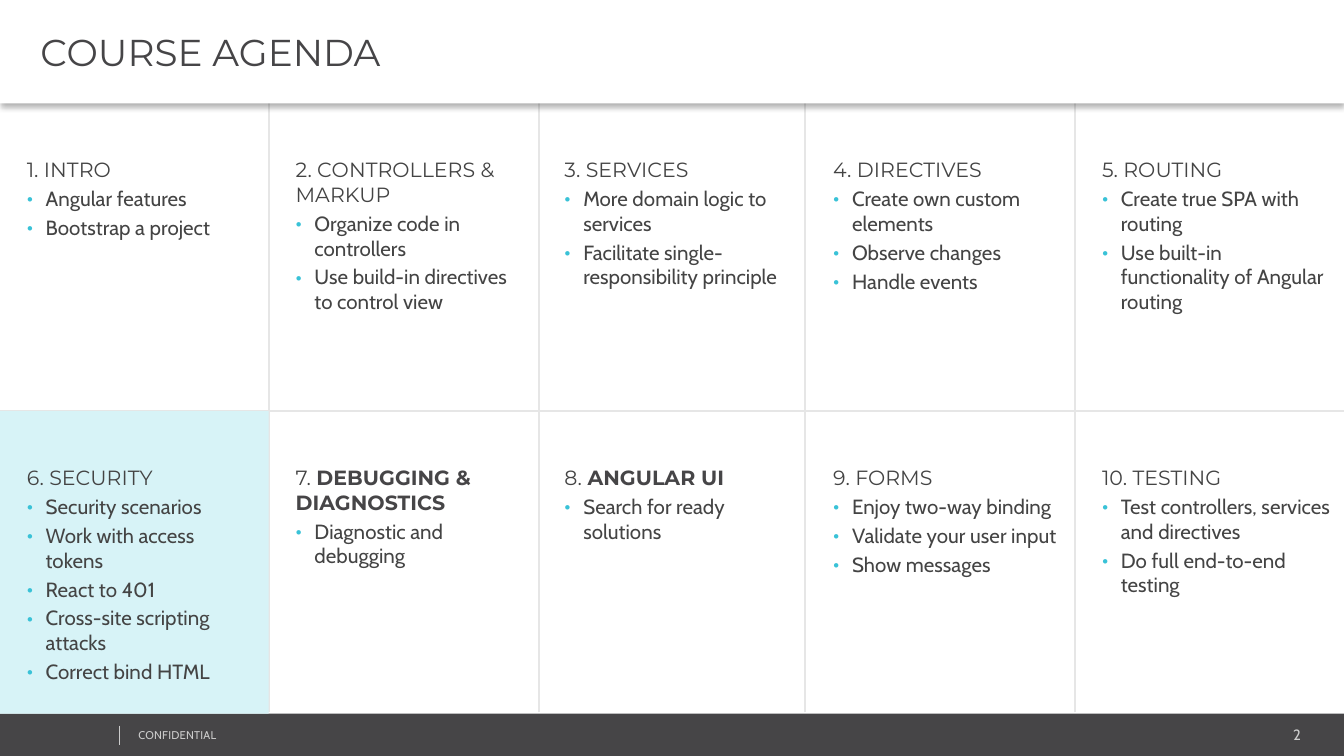
from dataclasses import dataclass

from lxml.etree import SubElement
from pptx import Presentation
from pptx.dml.color import RGBColor
from pptx.enum.shapes import MSO_CONNECTOR, MSO_SHAPE
from pptx.enum.text import MSO_ANCHOR, MSO_AUTO_SIZE, PP_ALIGN
from pptx.oxml.ns import qn
from pptx.util import Inches, Pt

COLORS = {
    "white": "FFFFFF", "footer": "464547", "muted": "CCCCCC", "rule": "E6E6E6",
    "highlight": "D7F3F7", "text": "444444", "strong": "464547",
    "bullet": "39C2D7", "shadow": "000000",
}
WIDTH = 10
HEIGHT = WIDTH * 9 / 16
HEADER_HEIGHT = 0.77
COLUMNS = 5
COLUMN_WIDTH = WIDTH / COLUMNS
COLUMN_RULES = (2, 4.01, 5.99, 8)
ROW_EDGES = (0.77, 3.06, 5.31)
CELL_INSETS = (0.2, 0.4, 0.1, 0.05)
SMALL_INSETS = (0.07, 0.04, 0.07, 0.04)
TITLE_INSETS = (0.3, 0.04, 0.07, 0.04)


@dataclass
class Topic:
    name: str
    points: tuple[str, ...]
    bold: bool = False
    current: bool = False


TOPICS = (
    Topic("INTRO", ("Angular features", "Bootstrap a project")),
    Topic("CONTROLLERS & MARKUP", ("Organize code in controllers",
                                   "Use build-in directives to control view")),
    Topic("SERVICES", ("More domain logic to services",
                       "Facilitate single-responsibility principle")),
    Topic("DIRECTIVES", ("Create own custom elements", "Observe changes", "Handle events")),
    Topic("ROUTING", ("Create true SPA with routing",
                      "Use built-in functionality of Angular routing")),
    Topic("SECURITY", ("Security scenarios", "Work with access tokens", "React to 401",
                       "Cross-site scripting attacks", "Correct bind HTML"), current=True),
    Topic("DEBUGGING & DIAGNOSTICS", ("Diagnostic and debugging",), bold=True),
    Topic("ANGULAR UI", ("Search for ready solutions",), bold=True),
    Topic("FORMS", ("Enjoy two-way binding", "Validate your user input", "Show messages")),
    Topic("TESTING", ("Test controllers, services and directives",
                      "Do full end-to-end testing")),
)


def color(name: str) -> RGBColor:
    return RGBColor.from_string(COLORS[name])


def place(left: float, top: float, width: float, height: float) -> tuple:
    return tuple(Inches(value) for value in (left, top, width, height))


def set_frame(frame, insets: tuple, anchor=MSO_ANCHOR.TOP) -> None:
    left, top, right, bottom = (Inches(value) for value in insets)
    formats = {"word_wrap": True, "auto_size": MSO_AUTO_SIZE.NONE,
               "vertical_anchor": anchor, "margin_left": left, "margin_top": top,
               "margin_right": right, "margin_bottom": bottom}
    for name, value in formats.items():
        setattr(frame, name, value)


def add_span(para, text: str, font: str, size: float, tone: str, bold: bool = False):
    span = para.add_run()
    span.text = text
    for name, value in {"name": font, "size": Pt(size), "bold": bold}.items():
        setattr(span.font, name, value)
    span.font.color.rgb = color(tone)
    return span


def add_rectangle(page, area: tuple, fill: str):
    box = page.shapes.add_shape(MSO_SHAPE.RECTANGLE, *place(*area))
    box.fill.solid()
    box.fill.fore_color.rgb = color(fill)
    box.line.fill.background()
    box.shadow.inherit = False
    return box


def add_rule(page, start: tuple, end: tuple, tone: str, weight: float) -> None:
    points = (Inches(value) for value in (*start, *end))
    rule = page.shapes.add_connector(MSO_CONNECTOR.STRAIGHT, *points)
    rule.line.color.rgb = color(tone)
    rule.line.width = Pt(weight)
    SubElement(rule._element.spPr, qn("a:effectLst"))


def add_label(page, area: tuple, text: str, size: float, align):
    box = page.shapes.add_textbox(*place(*area))
    set_frame(box.text_frame, SMALL_INSETS)
    para = box.text_frame.paragraphs[0]
    para.alignment = align
    return add_span(para, text, "Cabin", size, "muted")


def add_bullet(para) -> None:
    properties = para._p.get_or_add_pPr()
    properties.set("marL", str(Inches(0.14)))
    properties.set("indent", str(-Inches(0.14)))
    tint = SubElement(properties, qn("a:buClr"))
    SubElement(tint, qn("a:srgbClr"), val=COLORS["bullet"])
    SubElement(properties, qn("a:buFont"), typeface="Cabin")
    SubElement(properties, qn("a:buChar"), char="•")


def add_topic(page, index: int, topic: Topic) -> None:
    row, column = divmod(index, COLUMNS)
    top, bottom = ROW_EDGES[row:row + 2]
    area = (column * COLUMN_WIDTH, top, COLUMN_WIDTH, bottom - top)
    if topic.current:
        box = add_rectangle(page, area, "highlight")
    else:
        box = page.shapes.add_textbox(*place(*area))
    frame = box.text_frame
    set_frame(frame, CELL_INSETS)
    heading = frame.paragraphs[0]
    heading.alignment = PP_ALIGN.LEFT
    number = f"{index + 1}. "
    if topic.bold:
        add_span(heading, number, "Montserrat", 11, "text")
        add_span(heading, topic.name, "Montserrat", 11, "strong", True)
    else:
        add_span(heading, number + topic.name, "Montserrat", 11, "text")
    for point in topic.points:
        para = frame.add_paragraph()
        para.alignment = PP_ALIGN.LEFT
        para.space_before = Pt(2.3)
        add_bullet(para)
        add_span(para, point, "Cabin", 11, "text")


def add_title(page, text: str) -> None:
    title = page.shapes.title
    title.left, title.top, title.width, title.height = place(0, 0, WIDTH, HEADER_HEIGHT)
    title.fill.solid()
    title.fill.fore_color.rgb = color("white")
    set_frame(title.text_frame, TITLE_INSETS, MSO_ANCHOR.MIDDLE)
    para = title.text_frame.paragraphs[0]
    para.alignment = PP_ALIGN.LEFT
    add_span(para, text, "Montserrat", 20, "strong")
    # Soft shadow below the header
    effects = SubElement(title._element.spPr, qn("a:effectLst"))
    shadow = SubElement(effects, qn("a:outerShdw"), blurRad=str(Pt(3.1)),
                        dist=str(Pt(2)), dir="5400000", algn="t", rotWithShape="0")
    tint = SubElement(shadow, qn("a:srgbClr"), val=COLORS["shadow"])
    SubElement(tint, qn("a:alpha"), val="30000")
    # Bring the header in front of the grid
    page.shapes._spTree.append(title._element)


def main() -> None:
    deck = Presentation()
    deck.slide_width, deck.slide_height = Inches(WIDTH), Inches(HEIGHT)
    page = deck.slides.add_slide(deck.slide_layouts[5])

    # Footer
    add_rectangle(page, (0, ROW_EDGES[2], WIDTH, HEIGHT - ROW_EDGES[2]), "footer")
    add_label(page, (8.12, 5.36, 1.63, 0.21), "2", 8, PP_ALIGN.RIGHT)
    notice = add_label(page, (0.96, 5.38, 2.53, 0.18), "CONFIDENTIAL", 6, PP_ALIGN.LEFT)
    notice.font._element.set("spc", "10")
    add_rule(page, (0.89, 5.4), (0.89, 5.54), "muted", 0.25)

    # Grid
    for x in COLUMN_RULES:
        add_rule(page, (x, 5.3), (x, ROW_EDGES[0]), "rule", 1)
    add_rule(page, (WIDTH, ROW_EDGES[1]), (0, ROW_EDGES[1]), "rule", 1)

    # Topics and header
    for index, topic in enumerate(TOPICS):
        add_topic(page, index, topic)
    add_title(page, "COURSE AGENDA")
    deck.save("out.pptx")


if __name__ == "__main__":
    main()
